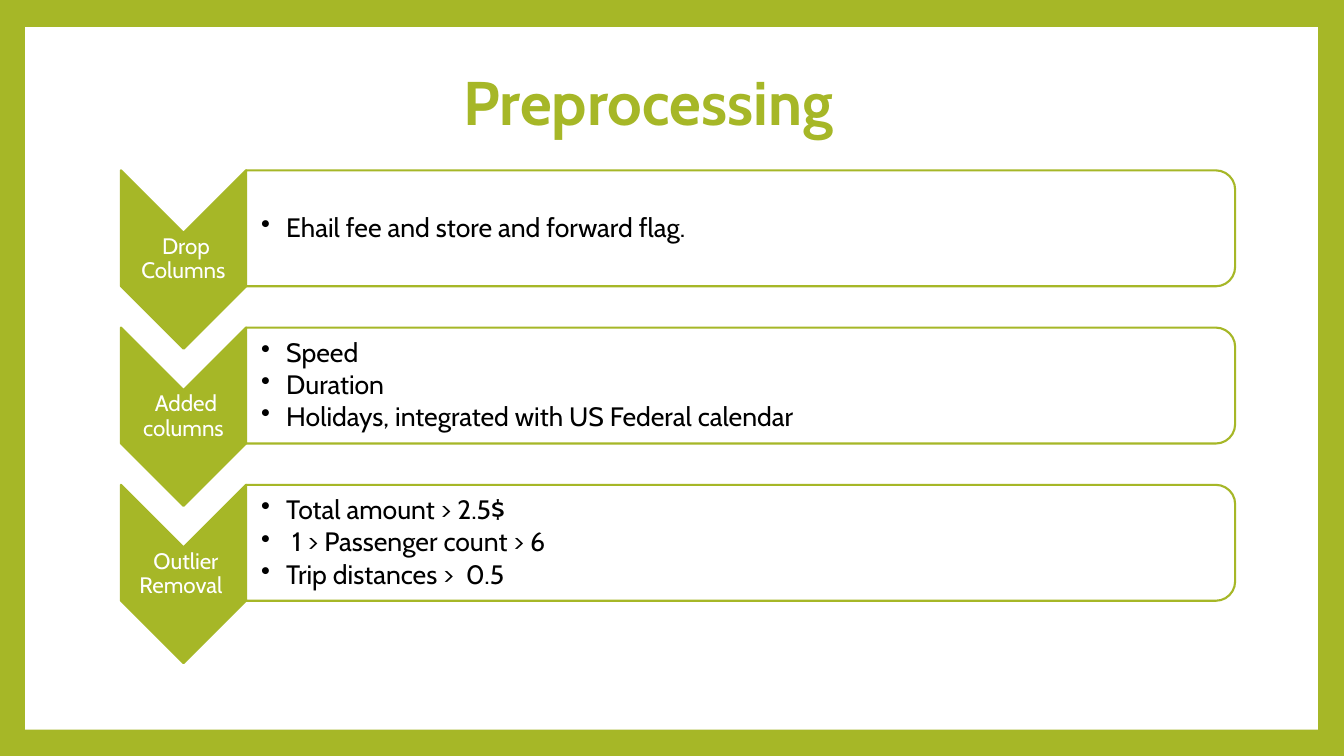
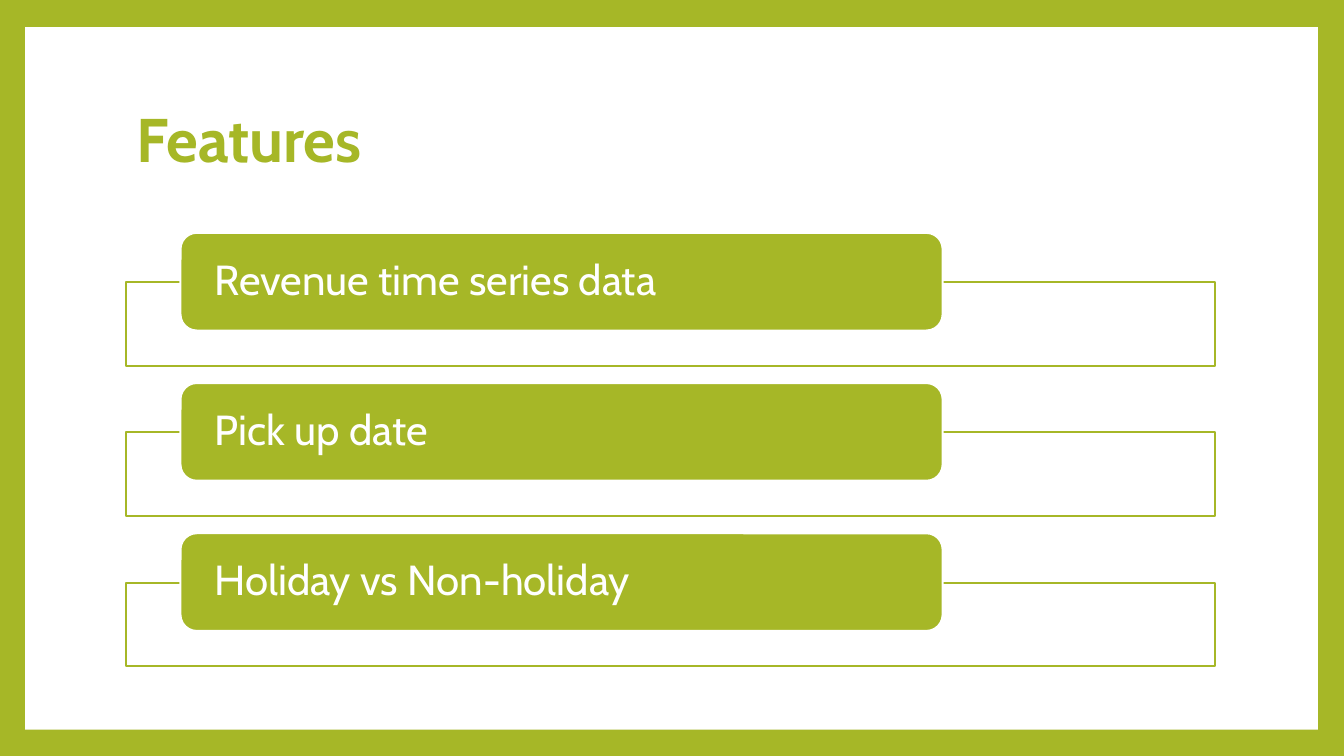
from lxml.etree import SubElement
from pptx import Presentation
from pptx.dml.color import RGBColor
from pptx.enum.shapes import MSO_SHAPE
from pptx.enum.text import MSO_ANCHOR, PP_ALIGN
from pptx.oxml.ns import qn
from pptx.util import Inches, Pt

GREEN, WHITE, BLACK = "A6B727", "FFFFFF", "000000"

STEPS = [
    (" Drop Columns", [" Ehail fee and store and forward flag."]),
    (" Added columns", [" Speed", " Duration ",
                        " Holidays, integrated with US Federal calendar"]),
    (" Outlier Removal ", [" Total amount > 2.5$ ",
                           "  1 > Passenger count > 6",
                           " Trip distances >  0.5 "]),
]
FEATURES = ["Revenue time series data", "Pick up date", "Holiday vs Non-holiday"]


def colour(code):
    return RGBColor.from_string(code)


def apply(target, **values):
    for name, value in values.items():
        setattr(target, name, value)


class Deck:
    """Holds the deck style and the slide being built."""

    font = "Cabin"

    def __init__(self):
        self.prs = Presentation()
        apply(self.prs, slide_width=Inches(13.33), slide_height=Inches(7.5))
        backdrop = self.prs.slide_master.background.fill
        backdrop.solid()
        backdrop.fore_color.rgb = colour(GREEN)

    def new_slide(self, heading, left, top, align):
        self.slide = self.prs.slides.add_slide(self.prs.slide_layouts[5])
        title = self.slide.shapes.title
        apply(title, left=Inches(left), top=Inches(top),
              width=Inches(10.8), height=Inches(1.48))
        self.set_text(title, [heading], 44, GREEN, align=align, bold=True)
        panel = self.shape(MSO_SHAPE.RECTANGLE, 0.25, 0.27, 12.82, 6.97, WHITE)
        title.element.addprevious(panel.element)

    def shape(self, kind, left, top, width, height, fill, line=None, rotation=0):
        shape = self.slide.shapes.add_shape(
            kind, Inches(left), Inches(top), Inches(width), Inches(height))
        shape.rotation = rotation
        shape.shadow.inherit = False
        shape.fill.solid()
        shape.fill.fore_color.rgb = colour(fill)
        if line:
            shape.line.color.rgb = colour(line)
            shape.line.width = Pt(1.5)
        else:
            shape.line.fill.background()
        return shape

    def turned(self, kind, left, top, width, height, fill):
        """Place a shape turned by 90 degrees so that it covers the given box."""
        shift = (width - height) / 2
        return self.shape(kind, left + shift, top - shift, height, width,
                          fill, GREEN, 90)

    def text(self, lines, left, top, width, height, size, code, **style):
        box = self.slide.shapes.add_textbox(
            Inches(left), Inches(top), Inches(width), Inches(height))
        self.set_text(box, lines, size, code, **style)

    def set_text(self, shape, lines, size, code, align=PP_ALIGN.LEFT, bold=False,
                 after=0, margins=None, bullets=False):
        frame = shape.text_frame
        apply(frame, word_wrap=True, vertical_anchor=MSO_ANCHOR.MIDDLE)
        if margins:
            sides = ("margin_left", "margin_top", "margin_right", "margin_bottom")
            apply(frame, **dict(zip(sides, map(Inches, margins))))
        for index, line in enumerate(lines):
            paragraph = frame.add_paragraph() if index else frame.paragraphs[0]
            apply(paragraph, alignment=align, line_spacing=0.9,
                  space_after=Pt(after))
            run = paragraph.add_run()
            run.text = line
            apply(run.font, name=self.font, size=Pt(size), bold=bold)
            run.font.color.rgb = colour(code)
            if bullets:
                self.bullet(paragraph)

    def bullet(self, paragraph):
        properties = paragraph._p.get_or_add_pPr()
        properties.set("marL", str(Inches(0.19)))
        properties.set("indent", str(-Inches(0.19)))
        SubElement(properties, qn("a:buChar")).set("char", "•")

    def step(self, top, label, details):
        thin = 0.01
        self.turned(MSO_SHAPE.CHEVRON, 1.2, top, 1.24, 1.77, GREEN)
        self.text([label], 1.2, top + 0.62, 1.24, 0.53, 16, WHITE,
                  align=PP_ALIGN.CENTER, after=5.6, margins=[thin] * 4)
        self.turned(MSO_SHAPE.ROUND_2_SAME_RECTANGLE, 2.44, top, 9.81, 1.15, WHITE)
        self.text(details, 2.44, top + 0.06, 9.76, 1.04, 19, BLACK, after=2.5,
                  margins=[0.15, thin, thin, thin], bullets=True)

    def feature(self, top, name):
        self.shape(MSO_SHAPE.RECTANGLE, 1.25, top + 0.49, 10.8, 0.83, WHITE, GREEN)
        tab = self.shape(MSO_SHAPE.ROUNDED_RECTANGLE, 1.79, top, 7.56, 0.97,
                         GREEN, WHITE)
        self.set_text(tab, [name], 30, WHITE, after=10.5,
                      margins=[0.29, 0, 0.29, 0])


def main():
    deck = Deck()
    deck.new_slide("Preprocessing ", 1.1, 0.31, PP_ALIGN.CENTER)
    for row, (label, details) in enumerate(STEPS):
        deck.step(1.69 + 1.56 * row, label, details)
    deck.new_slide("Features", 1.25, 0.67, PP_ALIGN.LEFT)
    for row, name in enumerate(FEATURES):
        deck.feature(2.31 + 1.49 * row, name)
    deck.prs.save("out.pptx")


if __name__ == "__main__":
    main()
